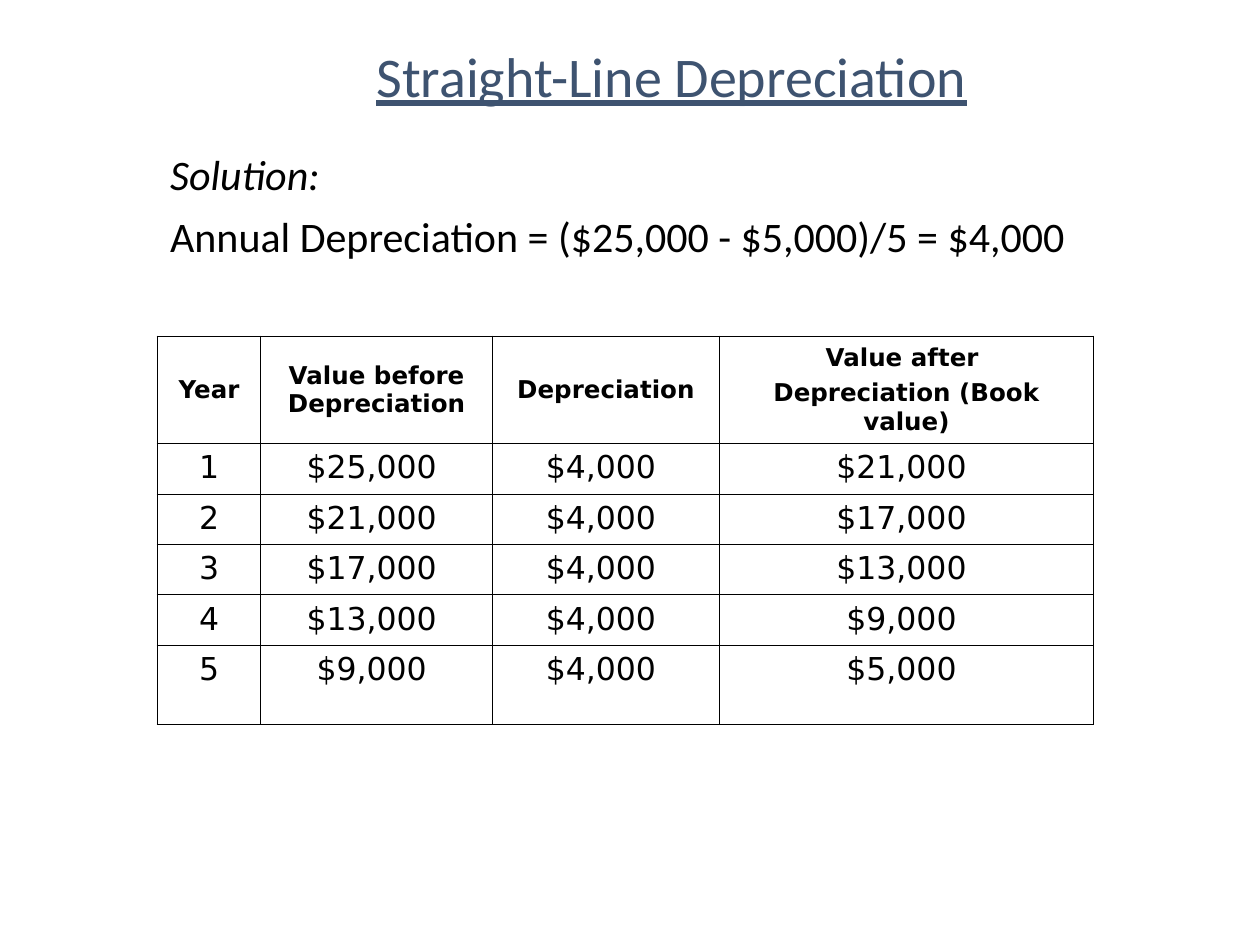
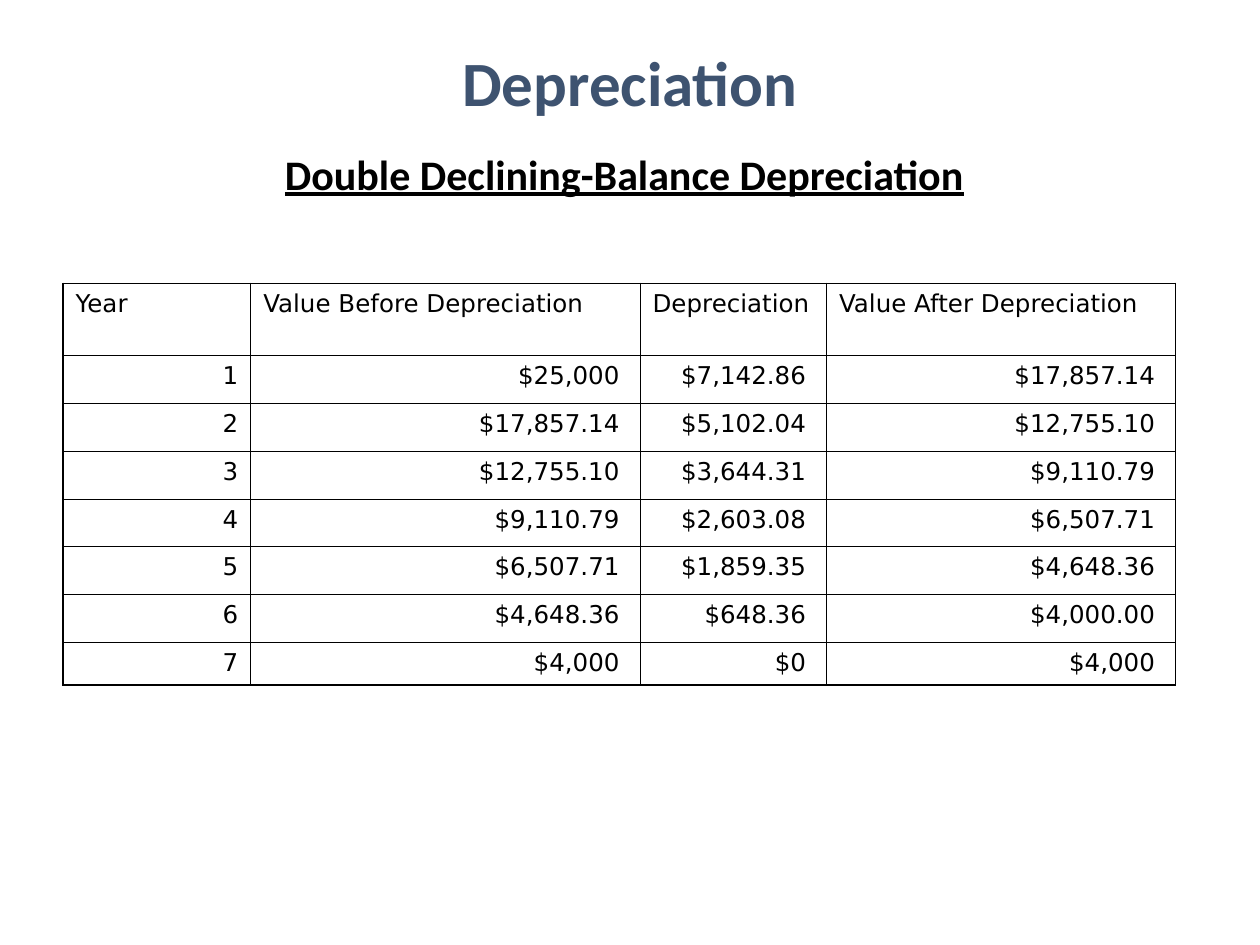
from dataclasses import dataclass
from pptx import Presentation
from pptx.dml.color import RGBColor
from pptx.enum.text import MSO_ANCHOR, MSO_AUTO_SIZE, PP_ALIGN
from pptx.oxml.ns import qn
from pptx.util import Inches, Pt
from lxml.etree import SubElement


@dataclass(frozen=True)
class Theme:
    navy: str = "3E5370"
    ink: str = "000000"
    sans: str = "Calibri"
    grid: str = "DejaVu Sans"
    lead: int = 24
    small: int = 14
    large: int = 18
    thin: float = 0.45
    thick: float = 1.08


THEME = Theme()

SLIDES = [
    dict(
        title="Straight-Line Depreciation",
        title_at=(1.08, 0.17, 8.5, 0.75),
        title_look=dict(size=32, underline=True),
        body=[
            ("Solution:", dict(italic=True)),
            ("Annual Depreciation = ($25,000 - $5,000)/5 = $4,000", {}),
        ],
        body_at=(1.25, 1.17, 8.58, 5.92),
        body_align=PP_ALIGN.JUSTIFY,
        table_at=(1.25, 2.67),
        widths=[0.82, 1.84, 1.8, 2.97],
        heights=[0.85] + [0.4] * 4 + [0.63],
        head=["Year", "Value before Depreciation", "Depreciation",
              "Value after \nDepreciation (Book value)"],
        rows=[
            ("1", "$25,000 ", "$4,000 ", "$21,000 "),
            ("2", "$21,000 ", "$4,000 ", "$17,000 "),
            ("3", "$17,000 ", "$4,000 ", "$13,000 "),
            ("4", "$13,000 ", "$4,000 ", "$9,000 "),
            ("5", "$9,000 ", "$4,000 ", "$5,000 "),
        ],
        head_look=dict(size=THEME.small, bold=True, before=3.5,
                       align=PP_ALIGN.CENTER, anchor=MSO_ANCHOR.MIDDLE),
        row_look=dict(size=THEME.large, before=4.5, align=PP_ALIGN.CENTER),
    ),
    dict(
        title="Depreciation",
        title_at=(0.75, 0.25, 8.5, 0.75),
        title_look=dict(size=36, bold=True),
        body=[("Double Declining-Balance Depreciation",
               dict(bold=True, underline=True))],
        body_at=(0.58, 1.17, 8.75, 5.92),
        body_align=PP_ALIGN.CENTER,
        table_at=(0.5, 2.25),
        widths=[1.49, 3.09, 1.48, 2.77],
        heights=[0.57] + [0.38] * 6 + [0.34],
        head=["Year", "Value Before Depreciation", "Depreciation",
              "Value After Depreciation"],
        rows=[
            ("1", "$25,000 ", "$7,142.86 ", "$17,857.14 "),
            ("2", "$17,857.14 ", "$5,102.04 ", "$12,755.10 "),
            ("3", "$12,755.10 ", "$3,644.31 ", "$9,110.79 "),
            ("4", "$9,110.79 ", "$2,603.08 ", "$6,507.71 "),
            ("5", "$6,507.71 ", "$1,859.35 ", "$4,648.36 "),
            ("6", "$4,648.36 ", "$648.36 ", "$4,000.00 "),
            ("7", "$4,000 ", "$0 ", "$4,000 "),
        ],
        head_look=dict(size=THEME.small, before=3.5),
        row_look=dict(size=THEME.small, before=3.5, align=PP_ALIGN.RIGHT),
    ),
]


def write(frame, text, size, font=THEME.sans, color=THEME.ink, bold=False,
          italic=False, underline=False, align=PP_ALIGN.LEFT, before=0,
          spacing=1.0, anchor=MSO_ANCHOR.TOP):
    frame.word_wrap = True
    frame.vertical_anchor = anchor
    for line in text.split("\n"):
        para = frame.paragraphs[-1]
        if para.runs:
            para = frame.add_paragraph()
        para.alignment = align
        para.space_before = Pt(before)
        para.line_spacing = spacing
        run = para.add_run()
        run.text = line
        face = run.font
        face.name, face.size = font, Pt(size)
        face.bold, face.italic, face.underline = bold, italic, underline
        face.color.rgb = RGBColor.from_string(color)


def place(shape, box):
    shape.left, shape.top, shape.width, shape.height = map(Inches, box)
    shape.text_frame.auto_size = MSO_AUTO_SIZE.NONE
    return shape.text_frame


def outline(cell, **edges):
    props = cell._tc.get_or_add_tcPr()
    for side in "LRTB":
        weight = THEME.thick if edges[side] else THEME.thin
        line = SubElement(props, qn(f"a:ln{side}"), w=str(Pt(weight)))
        fill = SubElement(line, qn("a:solidFill"))
        SubElement(fill, qn("a:srgbClr"), val=THEME.ink)


def tabulate(slide, data):
    cells = [data["head"], *data["rows"]]
    wide, high = data["widths"], data["heights"]
    box = (*data["table_at"], sum(wide), sum(high))
    table = slide.shapes.add_table(
        len(high), len(wide), *map(Inches, box)).table
    table.first_row = table.horz_banding = False
    for col, width in zip(table.columns, wide):
        col.width = Inches(width)
    for r, (row, height) in enumerate(zip(table.rows, high)):
        row.height = Inches(height)
        look = data["row_look"] if r else data["head_look"]
        for c, cell in enumerate(row.cells):
            outline(cell, L=c == 0, R=c == len(wide) - 1,
                    T=r == 0, B=r == len(high) - 1)
            cell.fill.background()
            write(cell.text_frame, cells[r][c], font=THEME.grid,
                  **{k: v for k, v in look.items() if k != "anchor"})
            cell.vertical_anchor = look.get("anchor", MSO_ANCHOR.TOP)


def build(deck, data):
    slide = deck.slides.add_slide(deck.slide_layouts[0])
    title = place(slide.shapes.title, data["title_at"])
    write(title, data["title"], color=THEME.navy, spacing=0.9,
          align=PP_ALIGN.CENTER, anchor=MSO_ANCHOR.BOTTOM,
          **data["title_look"])
    body = place(slide.placeholders[1], data["body_at"])
    for text, look in data["body"]:
        write(body, text, size=THEME.lead, spacing=0.9, before=10,
              align=data["body_align"], **look)
    tabulate(slide, data)


deck = Presentation()
deck.slide_width, deck.slide_height = Inches(10), Inches(7.5)
for data in SLIDES:
    build(deck, data)
deck.save("out.pptx")
